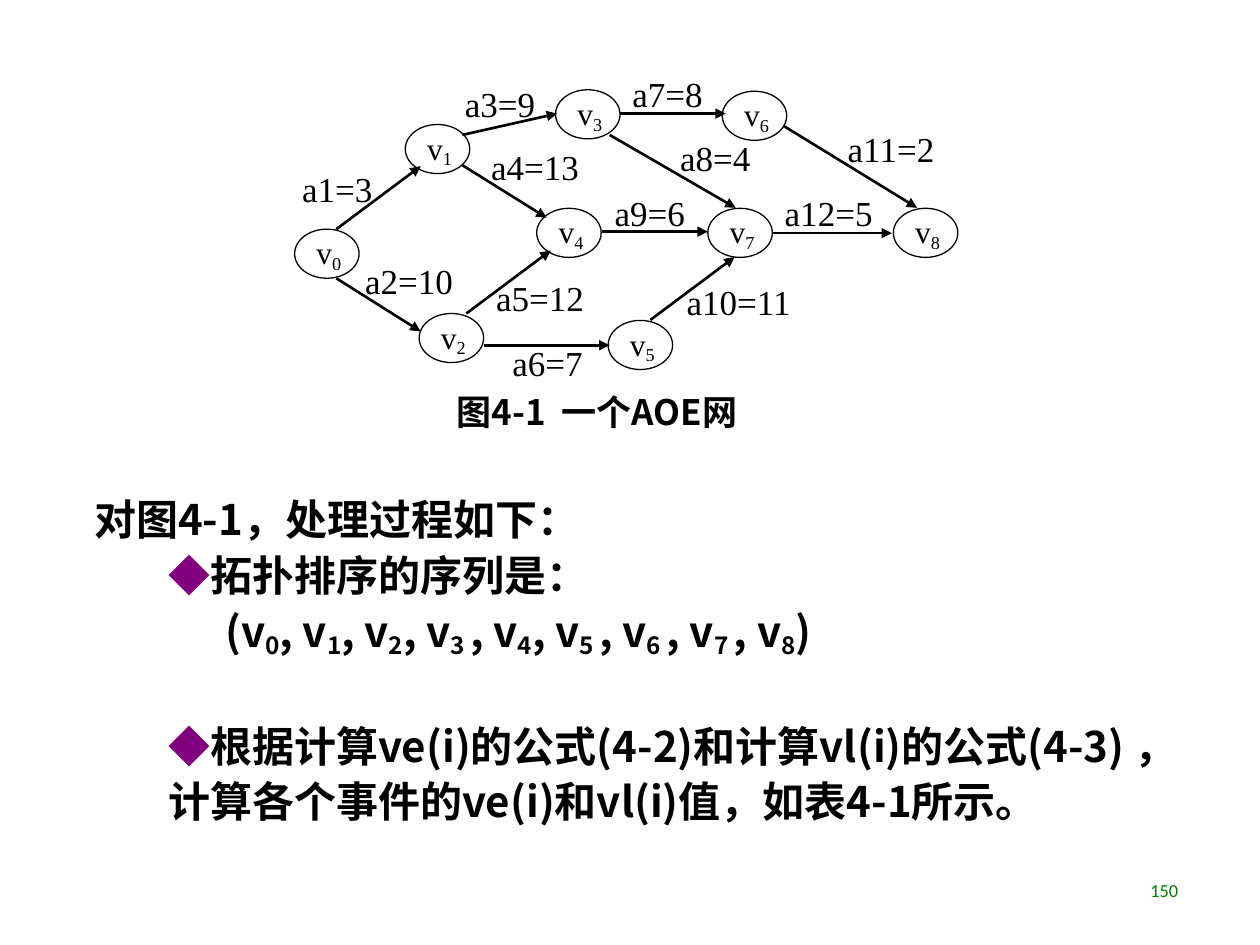
from pptx import Presentation, util as u
from pptx.dml.color import RGBColor
from pptx.enum import shapes, text
from pptx.oxml.ns import qn
from lxml import etree

HEX = {"ink": "000000", "mark": "800080", "page": "008000"}
SERIF, SANS = "Times New Roman", "Noto Sans CJK SC"

# Events: left and top of each ellipse in cm, v0 to v8
NODES = [(5.94, 4.62), (8.17, 2.51), (8.45, 6.32), (11.2, 1.81), (10.82, 4.2),
         (12.26, 6.46), (14.56, 1.84), (14.27, 4.2), (18.01, 4.2)]
NODE_W, NODE_H = 1.3, 0.99

# Activities: label, label left and top, arrow start, arrow end in cm
EDGES = [
    ("a1=3", (5.84, 3.35), (6.78, 4.62), (8.48, 3.35)),
    ("a2=10", (7.11, 5.21), (6.78, 5.61), (8.48, 6.68)),
    ("a3=9", (9.12, 1.65), (9.32, 2.72), (11.23, 2.29)),
    ("a4=13", (9.65, 2.92), (9.32, 3.33), (11.02, 4.39)),
    ("a5=12", (9.75, 5.56), (9.4, 6.32), (11.1, 5.05)),
    ("a6=7", (10.08, 6.86), (9.75, 6.96), (12.29, 6.96)),
    ("a7=8", (12.5, 1.45), (12.5, 2.29), (14.63, 2.29)),
    ("a8=4", (13.46, 2.74), (12.29, 2.72), (14.83, 4.19)),
    ("a9=6", (12.14, 3.84), (12.14, 4.67), (14.27, 4.67)),
    ("a10=11", (13.59, 5.64), (13.11, 6.45), (14.81, 5.18)),
    ("a11=2", (16.84, 2.54), (15.8, 2.54), (18.49, 4.19)),
    ("a12=5", (15.57, 3.84), (15.57, 4.7), (17.98, 4.7)),
]
LABEL_W = {4: 1.8, 5: 2.1, 6: 2.45}

# Sequence of events as (text, is subscript)
ORDER = ["0", "1", "2", "3 ", "4", "5 ", "6 ", "7 ", "8"]
SEQ = []
for i, sub in enumerate(ORDER):
    SEQ += [(", v" if i else "(v", False), (sub, True)]
SEQ.append((")", False))

# Body: left margin in cm, space before in pt, has diamond, runs
BODY = [
    (0, 0, False, [("对图4-1，处理过程如下：", False)]),
    (1.49, 0, True, [("拓扑排序的序列是：", False)]),
    (2.64, 0, False, SEQ),
    (1.49, 32, True, [("根据计算ve(i)的公式(4-2)和计算vl(i)的公式(4-3) ，"
                       "计算各个事件的ve(i)和vl(i)值，如表4-1所示。", False)]),
]


def rgb(name):
    return RGBColor.from_string(HEX[name])


def add_run(para, words, size, face, color="ink", bold=False, sub=False):
    run = para.add_run()
    run.text = words
    font = run.font
    font.size, font.name, font.bold = u.Pt(size), face, bold
    font.color.rgb = rgb(color)
    props = run._r.get_or_add_rPr()
    if bold:
        etree.SubElement(props, qn("a:ea")).set("typeface", SANS)
    if sub:
        props.set("baseline", "-18000")
    return props


def add_box(x, y, w, h, wrap=False, anchor=text.MSO_ANCHOR.MIDDLE):
    box = slide.shapes.add_textbox(u.Cm(x), u.Cm(y), u.Cm(w), u.Cm(h))
    frame = box.text_frame
    frame.word_wrap, frame.vertical_anchor = wrap, anchor
    if not wrap:
        frame.margin_right = 0
    return frame


def add_node(num, x, y):
    oval = slide.shapes.add_shape(shapes.MSO_SHAPE.OVAL, u.Cm(x), u.Cm(y),
                                  u.Cm(NODE_W), u.Cm(NODE_H))
    oval.shadow.inherit = False
    oval.fill.background()
    oval.line.color.rgb = rgb("ink")
    oval.line.width = u.Pt(0.75)
    frame = oval.text_frame
    frame.word_wrap, frame.vertical_anchor = False, text.MSO_ANCHOR.MIDDLE
    para = frame.paragraphs[0]
    para.alignment = text.PP_ALIGN.LEFT
    add_run(para, "v", 18, SERIF)
    add_run(para, str(num), 18, SERIF, sub=True)


def add_arrow(start, end):
    line = slide.shapes.add_connector(shapes.MSO_CONNECTOR.STRAIGHT,
                                      *(u.Cm(c) for c in start + end))
    line.line.color.rgb = rgb("ink")
    line.line.width = u.Pt(1.5)
    etree.SubElement(line.line._get_or_add_ln(), qn("a:tailEnd")).set("type", "triangle")
    etree.SubElement(line._element.spPr, qn("a:effectLst"))


deck = Presentation()
deck.slide_width, deck.slide_height = u.Cm(25.4), u.Cm(19.05)
slide = deck.slides.add_slide(deck.slide_layouts[6])

# Page number
para = add_box(22.81, 17.65, 1.32, 0.61, True).paragraphs[0]
para.alignment = text.PP_ALIGN.CENTER
add_run(para, "150", 10.5, "Calibri", "page")

# AOE network
for num, (x, y) in enumerate(NODES):
    add_node(num, x, y)
for label, (x, y), start, end in EDGES:
    frame = add_box(x, y, LABEL_W[len(label)], 0.89)
    add_run(frame.paragraphs[0], label, 20, SERIF)
    add_arrow(start, end)

# Caption, with a widened space after the figure number
para = add_box(8.95, 7.8, 6.8, 0.99).paragraphs[0]
add_run(para, "图4-1", 20, SANS, bold=True)
add_run(para, " ", 20, SANS, bold=True).set("spc", "450")
add_run(para, "一个AOE网", 20, SANS, bold=True)

# Body text
frame = add_box(1.65, 9.73, 22.66, 7.04, True, text.MSO_ANCHOR.TOP)
for i, (left, gap, mark, runs) in enumerate(BODY):
    para = frame.add_paragraph() if i else frame.paragraphs[0]
    para.line_spacing = 1.1
    if gap:
        para.space_before = u.Pt(gap)
    if left:
        para.level = 1
        props = para._p.get_or_add_pPr()
        props.set("marL", str(u.Cm(left)))
        props.set("indent", "0")
    if mark:
        add_run(para, "◆", 24, "Arial", "mark", True)
    for words, sub in runs:
        add_run(para, words, 24, SANS, bold=True, sub=sub)

deck.save("out.pptx")
